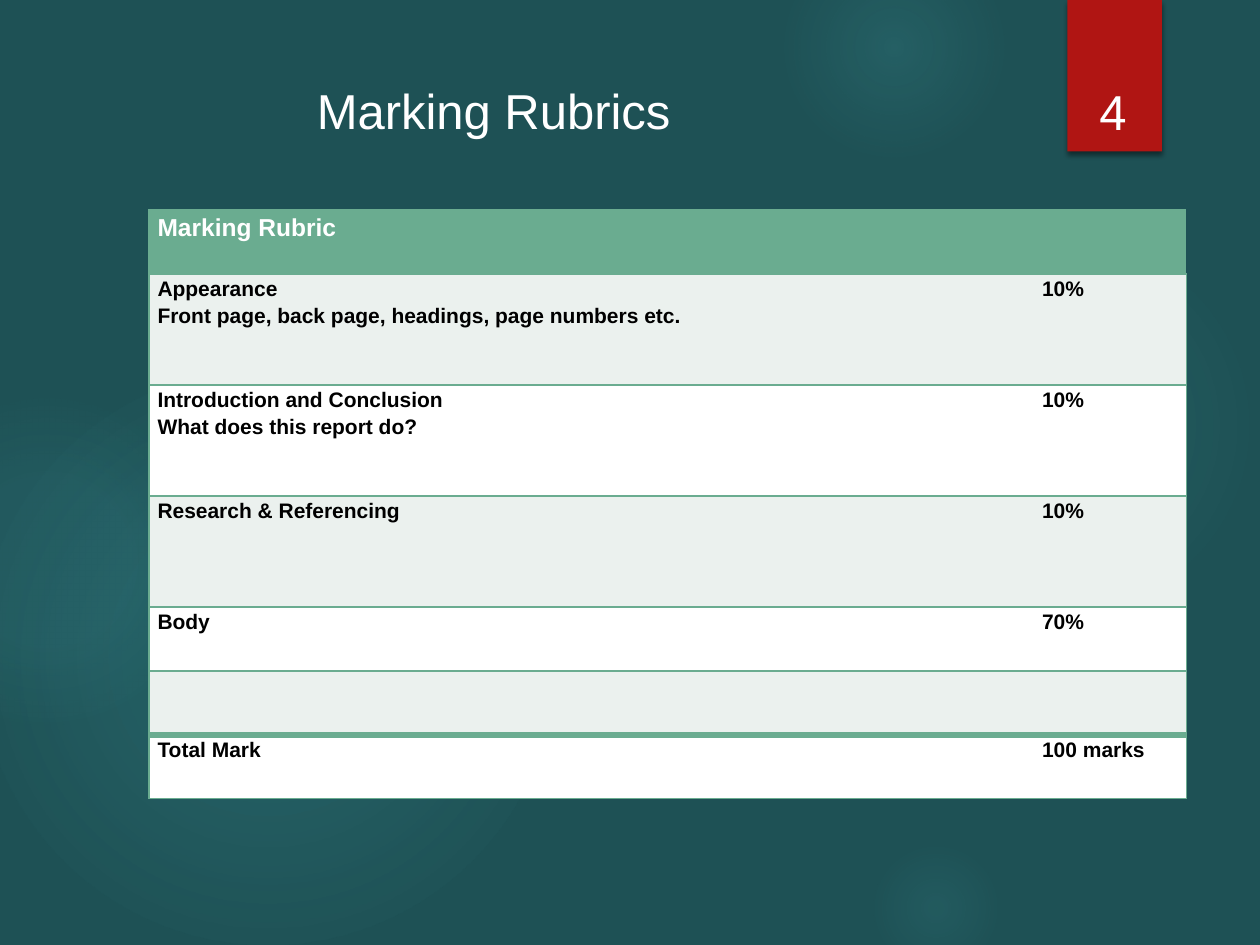
from lxml import etree
from pptx import Presentation
from pptx.dml.color import RGBColor
from pptx.enum.shapes import MSO_SHAPE
from pptx.enum.text import MSO_ANCHOR, PP_ALIGN
from pptx.oxml import parse_xml
from pptx.oxml.ns import nsdecls, qn
from pptx.util import Pt

OVAL = MSO_SHAPE.OVAL
RECT = MSO_SHAPE.RECTANGLE
BASE = MSO_ANCHOR.BOTTOM
TOP = MSO_ANCHOR.TOP
LEFT = PP_ALIGN.LEFT
MID = PP_ALIGN.CENTER
EVEN = PP_ALIGN.JUSTIFY

COLORS = {
    "back": "1E5155", "glow": "50B9C1", "flag": "B01513", "green": "6AAC90",
    "pale": "EBF1EE", "white": "FFFFFF", "black": "000000",
}
GLOWS = [
    (496, 132, 222, ((0, 7), (36, 6), (69, 0))),
    (448, -36, 126, ((0, 14), (36, 7), (73, 0))),
    (496, 480, 78, ((0, 9), (36, 5), (66, 0))),
    (-12, 210, 330, ((0, 11), (36, 10), (75, 0))),
    (-66, 228, 186, ((0, 8), (36, 8), (72, 0))),
]
ROWS = [
    (36.5, ["Marking Rubric"], ""),
    (63.5, ["Appearance", "Front page, back page, headings, page numbers etc."], "10%"),
    (63.5, ["Introduction and Conclusion", "What does this report do?"], "10%"),
    (63.5, ["Research & Referencing"], "10%"),
    (36.5, ["Body"], "70%"),
    (36.5, [], ""),
    (36.5, ["Total Mark"], "100 marks"),
]


def tint(name):
    return RGBColor.from_string(COLORS[name])


def apply(target, values):
    for name, value in values.items():
        setattr(target, name, value)


class Deck:
    font = "Arial"

    def __init__(self, wide, high):
        self.show = Presentation()
        apply(self.show, {"slide_width": Pt(wide), "slide_height": Pt(high)})
        self.slide = self.show.slides.add_slide(self.show.slide_layouts[6])
        fill = self.slide.background.fill
        fill.solid()
        fill.fore_color.rgb = tint("back")

    def shape(self, kind, *box):
        item = self.slide.shapes.add_shape(kind, *map(Pt, box))
        item.shadow.inherit = False
        item.line.fill.background()
        return item

    def glow(self, x, y, size, stops):
        item = self.shape(OVAL, x, y, size, size)
        item.fill.background()
        marks = "".join(
            f'<a:gs pos="{at * 1000}"><a:srgbClr val="{COLORS["glow"]}">'
            f'<a:alpha val="{alpha * 1000}"/></a:srgbClr></a:gs>'
            for at, alpha in stops)
        blend = parse_xml(
            f'<a:gradFill {nsdecls("a")} rotWithShape="1"><a:gsLst>{marks}</a:gsLst>'
            '<a:path path="circle"><a:fillToRect l="50000" t="50000" r="50000" b="50000"/>'
            '</a:path></a:gradFill>')
        props = item.element.spPr
        props.replace(props.find(qn("a:noFill")), blend)

    def flag(self, *box):
        item = self.shape(RECT, *box)
        item.fill.solid()
        item.fill.fore_color.rgb = tint("flag")
        shade = parse_xml(
            f'<a:outerShdw {nsdecls("a")} blurRad="{Pt(3)}" dist="{Pt(2)}" dir="5400000" '
            f'rotWithShape="0"><a:srgbClr val="{COLORS["black"]}"><a:alpha val="45000"/>'
            '</a:srgbClr></a:outerShdw>')
        item.element.spPr.find(qn("a:effectLst")).append(shade)

    def lines(self, frame, words, size, color, align, bold=False, space=None):
        for n, line in enumerate(words):
            par = frame.add_paragraph() if n else frame.paragraphs[0]
            par.text = line
            apply(par, {"alignment": align, "line_spacing": space})
            apply(par.runs[0].font, {"name": self.font, "size": Pt(size), "bold": bold})
            par.runs[0].font.color.rgb = tint(color)

    def text(self, words, box, align=LEFT, anchor=TOP):
        frame = self.slide.shapes.add_textbox(*map(Pt, box)).text_frame
        apply(frame, {"word_wrap": True, "vertical_anchor": anchor})
        self.lines(frame, [words], 28, "white", align)

    def edge(self, cell, sides):
        props = cell._tc.get_or_add_tcPr()
        for n, (side, width) in enumerate(sides.items()):
            line = etree.Element(qn(f"a:ln{side}"), w=str(Pt(width)))
            if width:
                paint = etree.SubElement(line, qn("a:solidFill"))
                etree.SubElement(paint, qn("a:srgbClr"), val=COLORS["green"])
            else:
                etree.SubElement(line, qn("a:noFill"))
            props.insert(n, line)

    def table(self, x, y, cols, rows):
        high = sum(row[0] for row in rows)
        box = map(Pt, (x, y, sum(cols), high))
        grid = self.slide.shapes.add_table(len(rows), len(cols), *box).table
        for col, width in zip(grid.columns, cols):
            col.width = Pt(width)
        last = len(rows) - 1
        for r, (tall, label, mark) in enumerate(rows):
            grid.rows[r].height = Pt(tall)
            fill = "pale" if r % 2 else "white"
            size, color = 12, "black"
            if r == 0:
                fill, size, color = "green", 14, "white"
            for c, words in enumerate((label, [mark] if mark else [])):
                cell = grid.cell(r, c)
                apply(cell, {"margin_left": Pt(5), "margin_right": Pt(5),
                             "margin_top": 0, "margin_bottom": 0})
                cell.fill.solid()
                cell.fill.fore_color.rgb = tint(fill)
                self.lines(cell.text_frame, words, size, color, EVEN, True, 1.15)
                self.edge(cell, {"L": 1 - c, "R": c, "T": 4 if r == last else 1,
                                 "B": 4 if r == last - 1 else 1})
        grid.cell(0, 0).merge(grid.cell(0, 1))


def main():
    deck = Deck(720, 540)
    for glow in GLOWS:
        deck.glow(*glow)
    deck.flag(610, 0, 54, 86.5)
    deck.text("4", (611, 23, 50, 60.5), MID, BASE)
    deck.text("Marking Rubrics", (174, 42.5, 378, 41))
    deck.table(85, 120, (505.5, 87.5), ROWS)
    deck.show.save("out.pptx")


if __name__ == "__main__":
    main()
